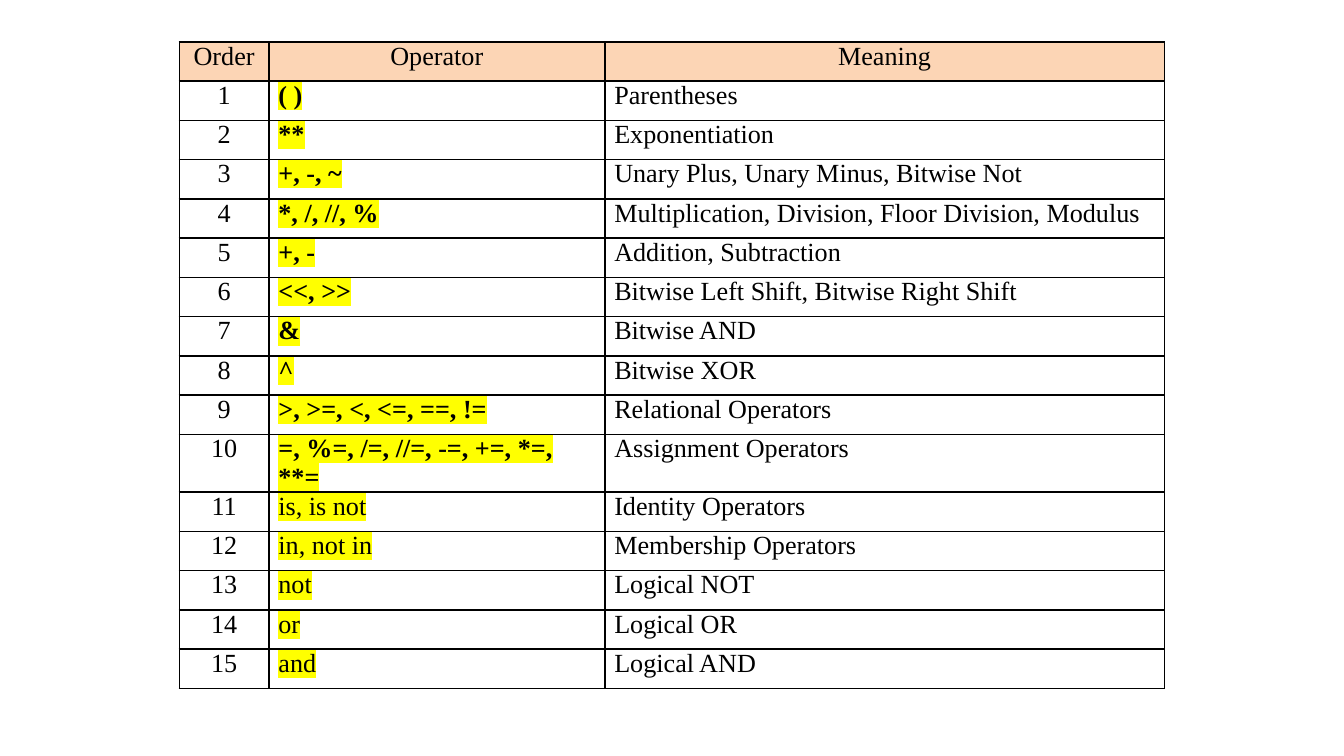
from dataclasses import dataclass

from lxml import etree
from pptx import Presentation
from pptx.dml.color import RGBColor
from pptx.enum import text
from pptx.oxml import ns
from pptx.util import Cm, Pt


@dataclass(frozen=True)
class Theme:
    font: str = "Times New Roman"
    size: int = 14
    ink: str = "000000"
    header: str = "FCD5B5"
    marker: str = "FFFF00"
    border: float = 1


THEME = Theme()
HEADINGS = ("Order", "Operator", "Meaning")
COLUMN_SHARES = (4, 15, 25)
LAST_BOLD_ORDER = 10
OPERATORS = [
    ("( )", "Parentheses"),
    ("**", "Exponentiation"),
    ("+, -, ~", "Unary Plus, Unary Minus, Bitwise Not"),
    ("*, /, //, %", "Multiplication, Division, Floor Division, Modulus"),
    ("+, -", "Addition, Subtraction"),
    ("<<, >>", "Bitwise Left Shift, Bitwise Right Shift"),
    ("&", "Bitwise AND"),
    ("^", "Bitwise XOR"),
    (">, >=, <, <=, ==, !=", "Relational Operators"),
    ("=, %=, /=, //=, -=, +=, *=, **=", "Assignment Operators"),
    ("is, is not", "Identity Operators"),
    ("in, not in", "Membership Operators"),
    ("not", "Logical NOT"),
    ("or", "Logical OR"),
    ("and", "Logical AND"),
]


def add_color(parent, color):
    etree.SubElement(parent, ns.qn("a:srgbClr"), val=color)


def set_borders(cell):
    properties = cell._tc.get_or_add_tcPr()
    # Border lines have to come before the cell fill
    for index, side in enumerate(("lnL", "lnR", "lnT", "lnB")):
        line = etree.Element(ns.qn(f"a:{side}"), w=str(Pt(THEME.border)))
        add_color(etree.SubElement(line, ns.qn("a:solidFill")), THEME.ink)
        properties.insert(index, line)


def highlight(span):
    marker = etree.Element(ns.qn("a:highlight"))
    add_color(marker, THEME.marker)
    span.font._element.find(ns.qn("a:solidFill")).addnext(marker)


def fill_cell(cell, content, is_header, centered, bold, marked):
    cell.margin_left = cell.margin_right = Cm(0.18)
    cell.margin_top = cell.margin_bottom = 0
    if is_header:
        cell.fill.solid()
        cell.fill.fore_color.rgb = RGBColor.from_string(THEME.header)
    else:
        cell.fill.background()
    set_borders(cell)

    para = cell.text_frame.paragraphs[0]
    para.text = content
    para.alignment = text.PP_ALIGN.CENTER if centered else text.PP_ALIGN.LEFT
    span = para.runs[0]
    span.font.name = THEME.font
    span.font.size = Pt(THEME.size)
    span.font.bold = bold
    span.font.color.rgb = RGBColor.from_string(THEME.ink)
    if marked:
        highlight(span)


def add_precedence_table(page, left, top, width, height):
    rows = [HEADINGS] + [(str(order), *entry) for order, entry in enumerate(OPERATORS, 1)]
    table = page.shapes.add_table(len(rows), len(HEADINGS), left, top, width, height).table
    table.first_row = table.horz_banding = False
    for column, share in zip(table.columns, COLUMN_SHARES):
        column.width = width * share // sum(COLUMN_SHARES)

    # Row 0 is the header; column 1 holds the highlighted operators
    for order, row in enumerate(rows):
        for column, content in enumerate(row):
            is_header = order == 0
            marked = not is_header and column == 1
            fill_cell(
                table.cell(order, column),
                content,
                is_header,
                centered=is_header or column == 0,
                bold=marked and order <= LAST_BOLD_ORDER,
                marked=marked,
            )


def main():
    deck = Presentation()
    deck.slide_width, deck.slide_height = Cm(25.4), Cm(14.29)
    page = deck.slides.add_slide(deck.slide_layouts[6])
    add_precedence_table(page, Cm(3.39), Cm(0.79), Cm(18.62), Cm(11.88))
    deck.save("out.pptx")


if __name__ == "__main__":
    main()
